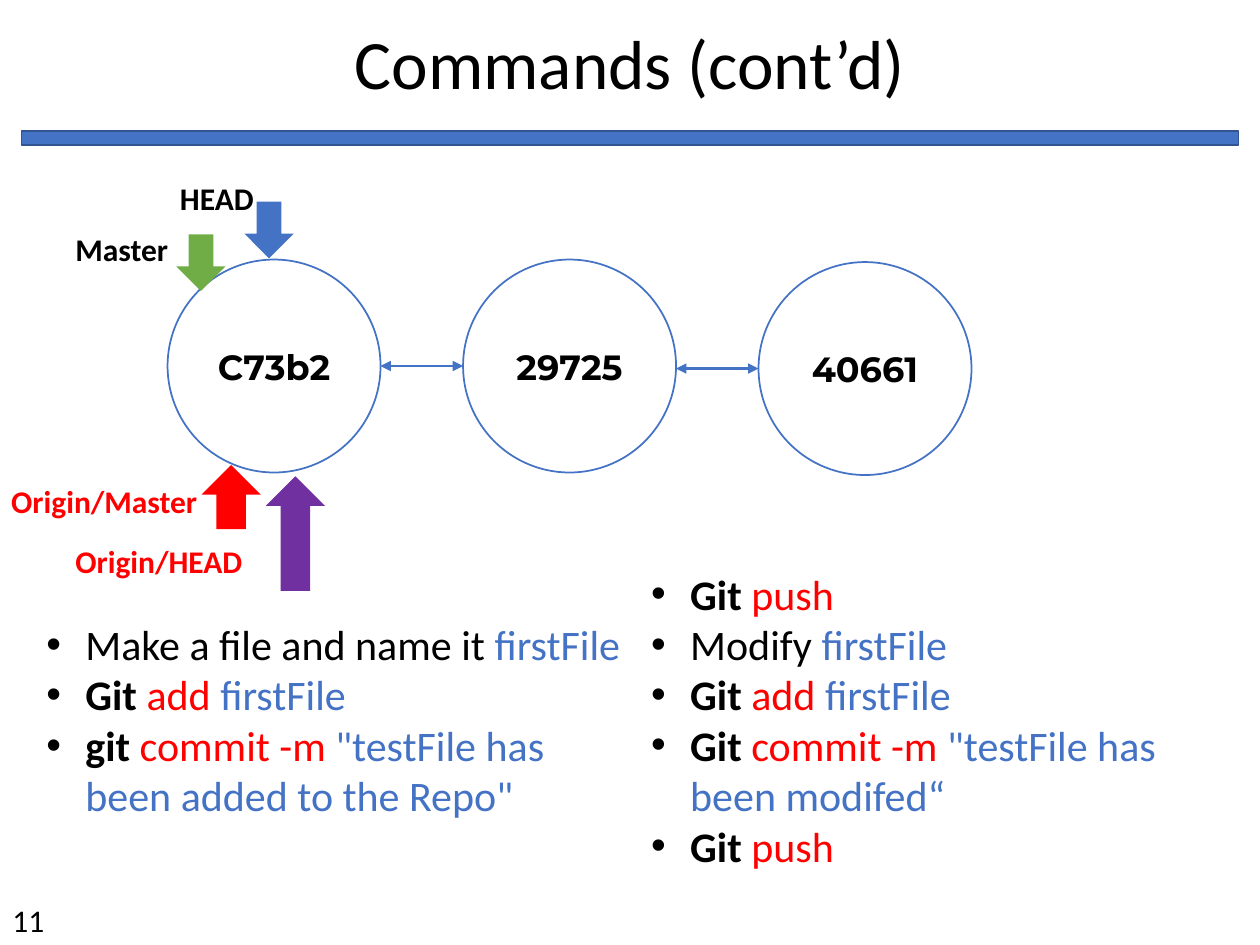
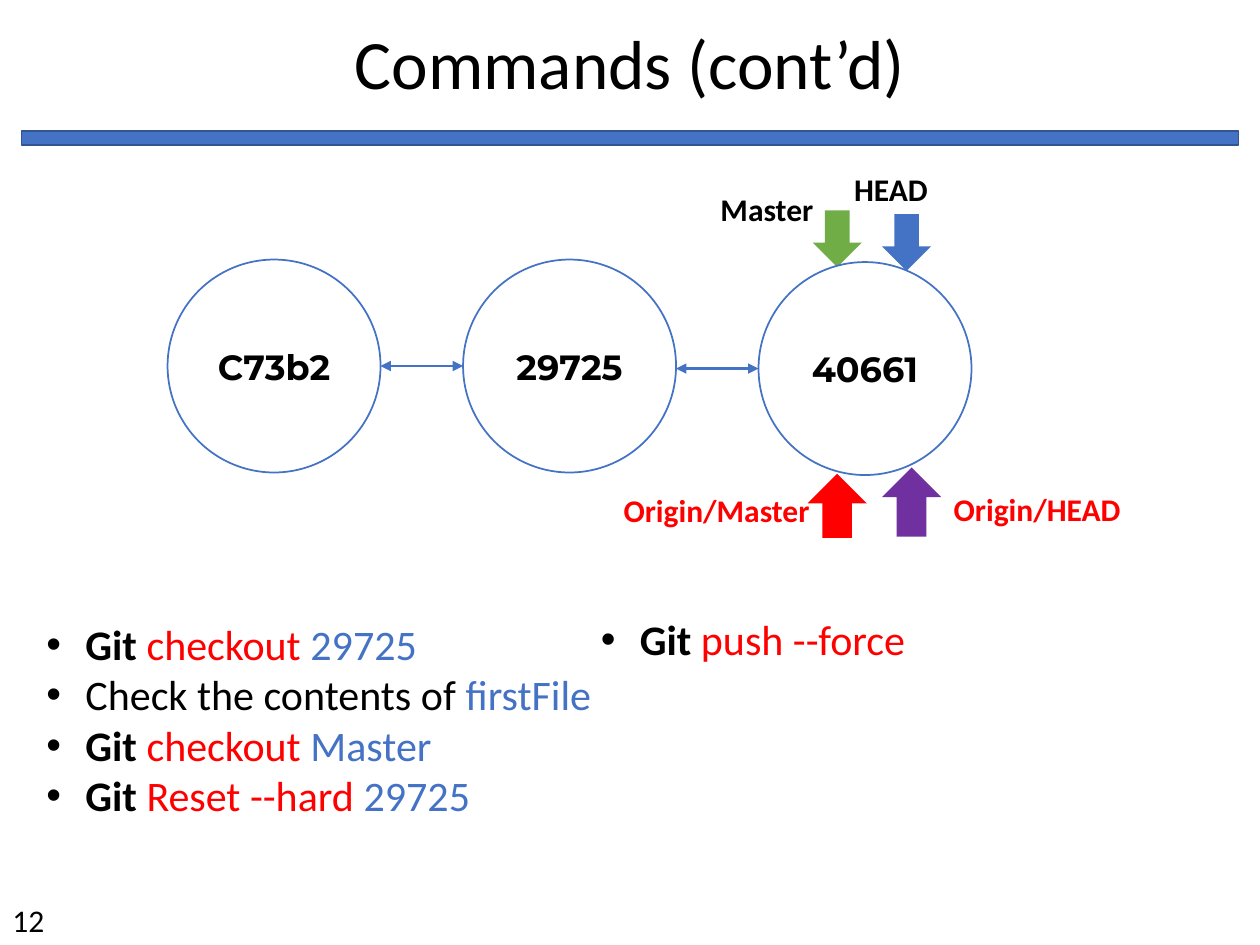
from dataclasses import dataclass

from lxml.etree import SubElement
from pptx import Presentation
from pptx.dml.color import RGBColor
from pptx.enum.shapes import MSO_CONNECTOR as Connector, MSO_SHAPE as Shape
from pptx.enum.text import MSO_ANCHOR as Anchor, PP_ALIGN as Align
from pptx.oxml.ns import qn
from pptx.util import Inches, Pt

BLACK, WHITE, BLUE, NAVY = "000000", "FFFFFF", "4472C4", "325491"
GREEN, RED, PURPLE = "70AD47", "FF0000", "7030A0"
BODY_FONT, COMMIT_FONT = "Calibri", "Montserrat"
CIRCLE_SIZE, CIRCLE_LEFT, CIRCLE_STEP = 1.69, 1.33, 2.345
BULLET_INDENT = 0.31


@dataclass(frozen=True)
class Run:
    text: str
    color: str = BLACK
    bold: bool = False


@dataclass(frozen=True)
class Commit:
    name: str
    top: float


@dataclass(frozen=True)
class Ref:
    name: str
    arrow: Shape
    color: str
    label_color: str
    label_width: float
    arrow_width: float


@dataclass(frozen=True)
class Pointer:
    ref: Ref
    arrow_left: float
    arrow_top: float
    arrow_height: float
    label_left: float
    label_top: float


@dataclass(frozen=True)
class Column:
    left: float
    top: float
    height: float
    steps: list[list[Run]]


@dataclass(frozen=True)
class Page:
    number: int
    pointers: list[Pointer]
    columns: list[Column]


COMMITS = [Commit("C73b2", 2.06), Commit("29725", 2.06), Commit("40661", 2.08)]
HEAD = Ref("HEAD", Shape.DOWN_ARROW, BLUE, BLACK, 0.79, 0.39)
MASTER = Ref("Master", Shape.DOWN_ARROW, GREEN, BLACK, 0.94, 0.39)
ORIGIN_MASTER = Ref("Origin/Master", Shape.UP_ARROW, RED, RED, 1.69, 0.47)
ORIGIN_HEAD = Ref("Origin/HEAD", Shape.UP_ARROW, PURPLE, RED, 1.54, 0.47)


def git(command: str, argument: str = "", program: str = "Git") -> list[Run]:
    runs = [Run(f"{program} ", bold=True)]
    if argument:
        return runs + [Run(f"{command} ", RED), Run(argument, BLUE)]
    return runs + [Run(command, RED)]


def task(text: str, target: str) -> list[Run]:
    return [Run(f"{text} "), Run(target, BLUE)]


PAGES = [
    Page(
        11,
        [
            Pointer(HEAD, 1.94, 1.6, 0.45, 1.33, 1.37),
            Pointer(MASTER, 1.4, 1.86, 0.45, 0.5, 1.78),
            Pointer(ORIGIN_MASTER, 1.6, 3.69, 0.51, -0.01, 3.78),
            Pointer(ORIGIN_HEAD, 2.11, 3.78, 0.91, 0.5, 4.25),
        ],
        [
            Column(0.27, 4.86, 2.52, [
                task("Make a file and name it", "firstFile"),
                git("add", "firstFile"),
                git("commit -m", '"testFile has been added to the Repo"', program="git"),
            ]),
            Column(5.07, 4.46, 3.33, [
                git("push"),
                task("Modify", "firstFile"),
                git("add", "firstFile"),
                git("commit -m", '"testFile has been modifed“'),
                git("push"),
            ]),
        ],
    ),
    Page(
        12,
        [
            Pointer(HEAD, 7, 1.7, 0.45, 6.68, 1.3),
            Pointer(MASTER, 6.45, 1.67, 0.45, 5.62, 1.46),
            Pointer(ORIGIN_MASTER, 6.41, 3.76, 0.51, 4.85, 3.85),
            Pointer(ORIGIN_HEAD, 7, 3.71, 0.55, 7.47, 3.84),
        ],
        [
            Column(0.27, 4.86, 1.72, [
                git("checkout", "29725"),
                task("Check the contents of", "firstFile"),
                git("checkout", "Master"),
                git("Reset --hard", "29725"),
            ]),
            Column(4.67, 4.82, 0.5, [git("push --force")]),
        ],
    ),
]


def rgb(color: str) -> RGBColor:
    return RGBColor.from_string(color)


def write(frame, paragraphs: list[list[Run]], *, size: float = 18, font: str = BODY_FONT,
          align: Align = Align.LEFT, anchor: Anchor = Anchor.TOP, wrap: bool = True,
          spacing: float = 1.0, bullets: bool = False) -> None:
    frame.word_wrap = wrap
    frame.vertical_anchor = anchor
    for index, runs in enumerate(paragraphs):
        paragraph = frame.add_paragraph() if index else frame.paragraphs[0]
        paragraph.alignment = align
        paragraph.line_spacing = spacing
        if bullets:
            add_bullet(paragraph)
        for part in runs:
            run = paragraph.add_run()
            run.text = part.text
            run.font.name = font
            run.font.size = Pt(size)
            run.font.bold = part.bold
            run.font.color.rgb = rgb(part.color)


def add_bullet(paragraph) -> None:
    properties = paragraph._p.get_or_add_pPr()
    properties.set("marL", str(Inches(BULLET_INDENT)))
    properties.set("indent", str(-Inches(BULLET_INDENT)))
    SubElement(properties, qn("a:buFont")).set("typeface", "Arial")
    SubElement(properties, qn("a:buChar")).set("char", "•")


def add_text(slide, left: float, top: float, width: float, height: float,
             paragraphs: list[list[Run]], **text_format) -> None:
    box = slide.shapes.add_textbox(Inches(left), Inches(top), Inches(width), Inches(height))
    write(box.text_frame, paragraphs, **text_format)


def add_figure(slide, kind: Shape, left: float, top: float, width: float, height: float,
               fill: str, line: str | None = None):
    figure = slide.shapes.add_shape(kind, Inches(left), Inches(top), Inches(width), Inches(height))
    figure.shadow.inherit = False
    figure.fill.solid()
    figure.fill.fore_color.rgb = rgb(fill)
    if line:
        figure.line.color.rgb = rgb(line)
        figure.line.width = Pt(1)
    else:
        figure.line.fill.background()
    return figure


def add_frame(slide, number: int) -> None:
    add_figure(slide, Shape.RECTANGLE, 0.17, 1.04, 9.66, 0.11, BLUE, NAVY)
    add_text(slide, 0, 7.1, 0.69, 0.4, [[Run(str(number))]])
    add_text(slide, 0.69, 0.15, 8.62, 0.76, [[Run("Commands (cont’d)")]], size=39.6,
             align=Align.CENTER, anchor=Anchor.MIDDLE, spacing=0.9)


def add_commit(slide, index: int) -> None:
    commit = COMMITS[index]
    left = CIRCLE_LEFT + index * CIRCLE_STEP
    circle = add_figure(slide, Shape.OVAL, left, commit.top, CIRCLE_SIZE, CIRCLE_SIZE, WHITE, BLUE)
    write(circle.text_frame, [[Run(commit.name, bold=True)]], size=20, font=COMMIT_FONT,
          align=Align.CENTER, anchor=Anchor.MIDDLE)
    if index:
        previous_right = left - CIRCLE_STEP + CIRCLE_SIZE
        add_link(slide, previous_right, left, commit.top + CIRCLE_SIZE / 2)


def add_link(slide, start: float, end: float, y: float) -> None:
    link = slide.shapes.add_connector(Connector.STRAIGHT, Inches(start), Inches(y),
                                      Inches(end), Inches(y))
    link.line.color.rgb = rgb(BLUE)
    link.line.width = Pt(1.5)
    outline = link.line._get_or_add_ln()
    for tip in ("a:headEnd", "a:tailEnd"):
        SubElement(outline, qn(tip)).set("type", "triangle")
    SubElement(link._element.spPr, qn("a:effectLst"))


def add_pointer(slide, pointer: Pointer) -> None:
    ref = pointer.ref
    add_figure(slide, ref.arrow, pointer.arrow_left, pointer.arrow_top,
               ref.arrow_width, pointer.arrow_height, ref.color)
    add_text(slide, pointer.label_left, pointer.label_top, ref.label_width, 0.4,
             [[Run(ref.name, ref.label_color, True)]], wrap=False)


def add_page(deck, page: Page) -> None:
    slide = deck.slides.add_slide(deck.slide_layouts[6])
    add_frame(slide, page.number)
    add_commit(slide, 0)
    for pointer in page.pointers:
        add_pointer(slide, pointer)
    for index in range(1, len(COMMITS)):
        add_commit(slide, index)
    for column in page.columns:
        add_text(slide, column.left, column.top, 4.8, column.height, column.steps,
                 size=24, bullets=True)


def main() -> None:
    deck = Presentation()
    deck.slide_width, deck.slide_height = Inches(10), Inches(7.5)
    for page in PAGES:
        add_page(deck, page)
    deck.save("out.pptx")


if __name__ == "__main__":
    main()
